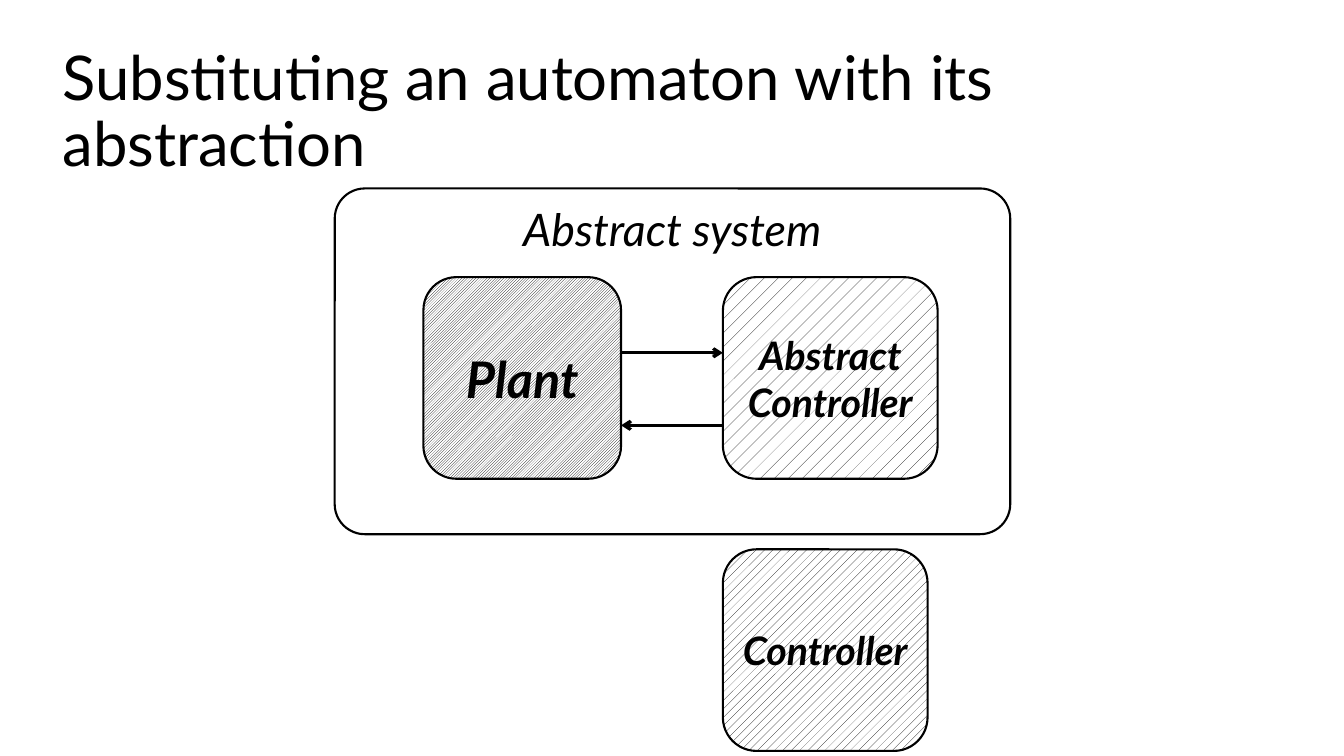
from lxml.etree import SubElement
from pptx import Presentation
from pptx.dml.color import RGBColor
from pptx.enum.dml import MSO_PATTERN
from pptx.enum.shapes import MSO_CONNECTOR, MSO_SHAPE
from pptx.enum.text import MSO_ANCHOR, PP_ALIGN
from pptx.oxml.ns import qn
from pptx.util import Pt

EMU_PER_PX = 9144  # 100 px to the inch
FONT = "Lato"
BLACK = RGBColor(0x00, 0x00, 0x00)
WHITE = RGBColor(0xFF, 0xFF, 0xFF)

ROW_TOP = 275
BOX_HEIGHT = 200
PLANT_LEFT, PLANT_WIDTH = 420, 196
PLANT_RIGHT = PLANT_LEFT + PLANT_WIDTH
CONTROLLER_LEFT = 717


def px(length):
    return length * EMU_PER_PX


def write(paragraph, text, size, bold=False, italic=False):
    run = paragraph.add_run()
    run.text = text
    font = run.font
    font.name, font.size = FONT, Pt(size)
    font.bold, font.italic = bold, italic
    font.color.rgb = BLACK


def add_title(slide, text):
    title = slide.shapes.title
    title.left, title.top = px(52), px(40)
    title.width, title.height = px(1234), px(145)
    frame = title.text_frame
    frame.word_wrap = True
    frame.vertical_anchor = MSO_ANCHOR.MIDDLE
    heading = frame.paragraphs[0]
    heading.alignment = PP_ALIGN.LEFT
    heading.line_spacing = 0.9
    write(heading, text, 44)


def add_box(slide, left, top, width, height, label, size, bold=True,
            pattern=None, anchor=MSO_ANCHOR.MIDDLE):
    """Add a labelled rounded box, filled white or with a black-on-white pattern."""
    box = slide.shapes.add_shape(MSO_SHAPE.ROUNDED_RECTANGLE,
                                 px(left), px(top), px(width), px(height))
    box.shadow.inherit = False
    if pattern is None:
        box.fill.solid()
        box.fill.fore_color.rgb = WHITE
    else:
        box.fill.patterned()
        box.fill.pattern = pattern
        box.fill.fore_color.rgb = BLACK
        box.fill.back_color.rgb = WHITE
    box.line.color.rgb = BLACK
    box.line.width = Pt(1.5)
    frame = box.text_frame
    frame.word_wrap = True
    frame.margin_left = frame.margin_right = px(5)
    frame.vertical_anchor = anchor
    caption = frame.paragraphs[0]
    caption.alignment = PP_ALIGN.CENTER
    write(caption, label, size, bold, italic=True)
    return box


def add_arrow(slide, start, end, y):
    arrow = slide.shapes.add_connector(MSO_CONNECTOR.STRAIGHT,
                                       px(start), px(y), px(end), px(y))
    arrow.line.color.rgb = BLACK
    arrow.line.width = Pt(2.25)
    SubElement(arrow.line._get_or_add_ln(), qn("a:tailEnd"), type="arrow")
    SubElement(arrow._element.spPr, qn("a:effectLst"))


def main():
    deck = Presentation()
    deck.slide_width, deck.slide_height = px(1333), px(750)
    slide = deck.slides.add_slide(deck.slide_layouts[5])

    add_title(slide, "Substituting an automaton with its abstraction")
    system = add_box(slide, 332, 187, 670, 343, "Abstract system", 32,
                     bold=False, anchor=MSO_ANCHOR.TOP)
    system.adjustments[0] = 0.087
    add_box(slide, PLANT_LEFT, ROW_TOP, PLANT_WIDTH, BOX_HEIGHT, "Plant", 36,
            pattern=MSO_PATTERN.LIGHT_UPWARD_DIAGONAL)
    add_box(slide, CONTROLLER_LEFT, 545, 203, BOX_HEIGHT, "Controller", 28,
            pattern=MSO_PATTERN.PERCENT_20)
    add_arrow(slide, PLANT_RIGHT, CONTROLLER_LEFT, 350)
    add_arrow(slide, CONTROLLER_LEFT, PLANT_RIGHT, 422)
    add_box(slide, CONTROLLER_LEFT, ROW_TOP, 213, BOX_HEIGHT,
            "Abstract Controller", 28, pattern=MSO_PATTERN.PERCENT_5)

    deck.save("out.pptx")


if __name__ == "__main__":
    main()
